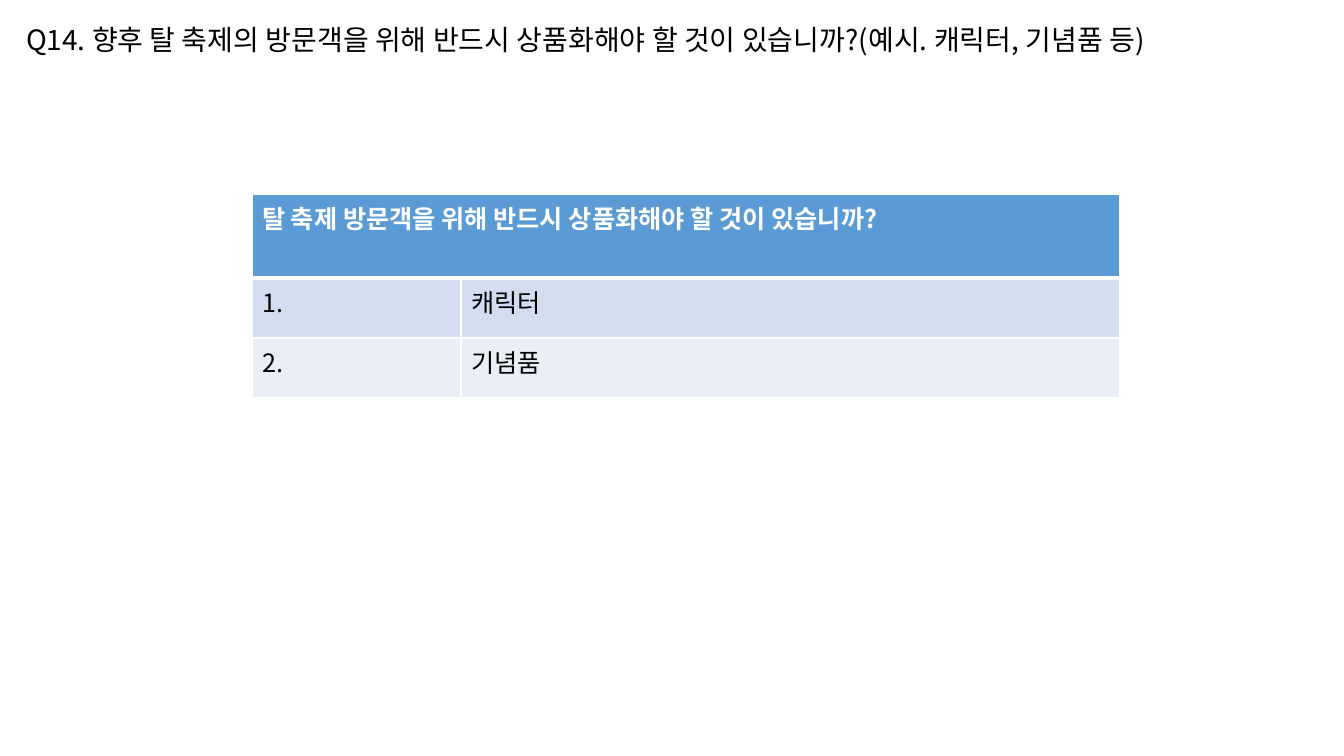
"""Build the survey slide for question 14 with its two-answer table."""
from dataclasses import dataclass

from lxml.etree import SubElement
from pptx import Presentation
from pptx.dml.color import RGBColor
from pptx.enum.text import MSO_ANCHOR, MSO_AUTO_SIZE, PP_ALIGN
from pptx.oxml.ns import qn
from pptx.util import Emu, Pt


@dataclass(frozen=True)
class Theme:
    font: str = "Noto Sans CJK KR"
    title_size: int = 20
    table_size: int = 18
    ink: str = "000000"
    white: str = "FFFFFF"
    header: str = "5B9BD5"
    bands: tuple = ("D2DEEF", "EAEFF7")


def px(length):
    return Emu(round(length * 914400 / 100.8))


def style(paragraph, size, color, bold=False):
    paragraph.alignment = PP_ALIGN.LEFT
    font = paragraph.font
    font.name, font.size, font.bold = theme.font, Pt(size), bold
    font.color.rgb = RGBColor.from_string(color)
    properties = paragraph._p.pPr.find(qn("a:defRPr"))
    SubElement(properties, qn("a:ea"), typeface=theme.font)


theme = Theme()
deck = Presentation()
deck.slide_width, deck.slide_height = px(1344), px(756)
page = deck.slides.add_slide(deck.slide_layouts[5])

title = page.shapes.title
title.left, title.top, title.width, title.height = map(px, (16, 17, 1269, 44))
frame = title.text_frame
frame.text = "Q14. 향후 탈 축제의 방문객을 위해 반드시 상품화해야 할 것이 있습니까?(예시. 캐릭터, 기념품 등)"
frame.auto_size = MSO_AUTO_SIZE.NONE
frame.word_wrap = True
frame.vertical_anchor = MSO_ANCHOR.TOP
style(frame.paragraphs[0], theme.title_size, theme.ink)

rows = [
    ("탈 축제 방문객을 위해 반드시 상품화해야 할 것이 있습니까?", ""),
    ("1.", "캐릭터"),
    ("2.", "기념품"),
]
column_widths = (209, 659)
row_heights = (84, 60, 60)
table = page.shapes.add_table(
    len(rows), len(column_widths), px(252), px(194),
    px(sum(column_widths)), px(sum(row_heights)),
).table
for column, width in zip(table.columns, column_widths):
    column.width = px(width)
for row, height in zip(table.rows, row_heights):
    row.height = px(height)
table.cell(0, 0).merge(table.cell(0, 1))

for row_index, answers in enumerate(rows):
    is_header = row_index == 0
    fill = theme.header if is_header else theme.bands[(row_index - 1) % 2]
    for column_index, answer in enumerate(answers):
        cell = table.cell(row_index, column_index)
        properties = cell._tc.get_or_add_tcPr()
        for side in "LRTB":
            under_header = (row_index, side) in ((0, "B"), (1, "T"))
            line = SubElement(properties, qn(f"a:ln{side}"), w=str(Pt(3 if under_header else 1)))
            SubElement(SubElement(line, qn("a:solidFill")), qn("a:srgbClr"), val=theme.white)
        cell.fill.solid()
        cell.fill.fore_color.rgb = RGBColor.from_string(fill)
        if answer:
            cell.text = answer
            color = theme.white if is_header else theme.ink
            style(cell.text_frame.paragraphs[0], theme.table_size, color, is_header)

deck.save("out.pptx")
